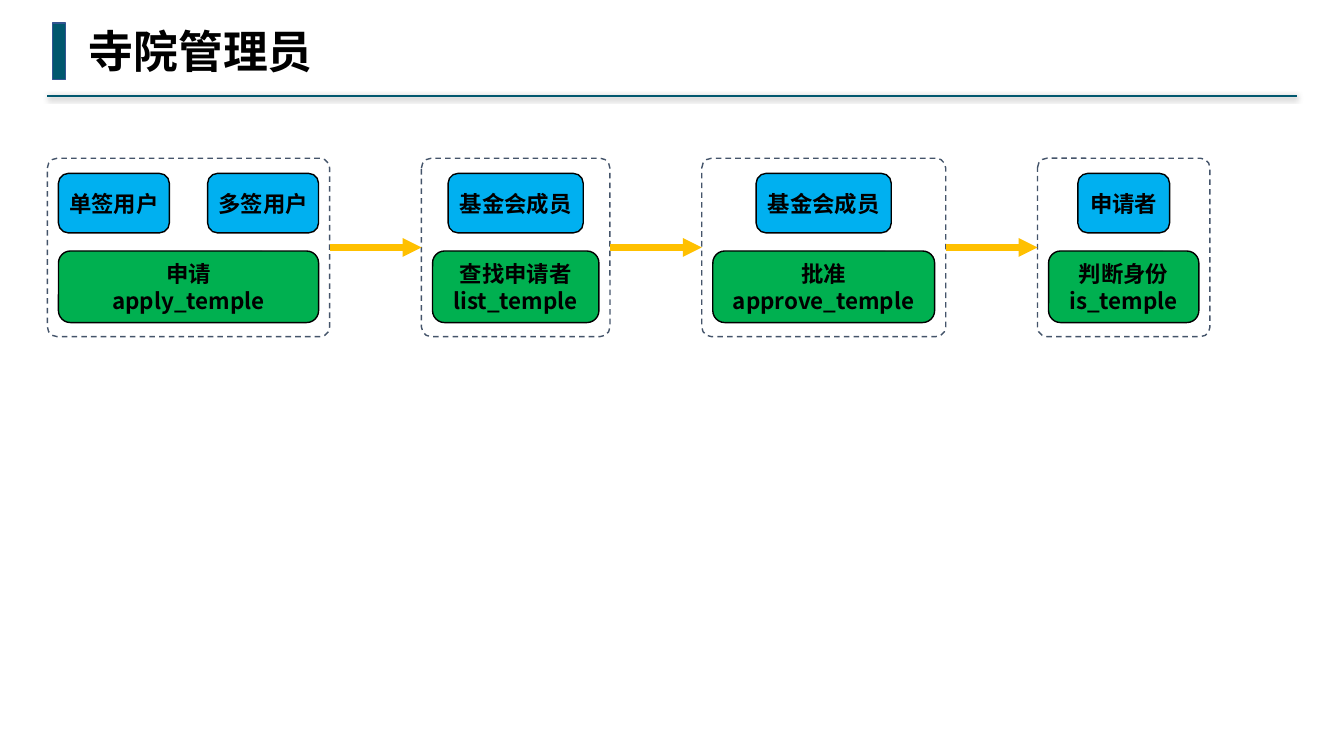
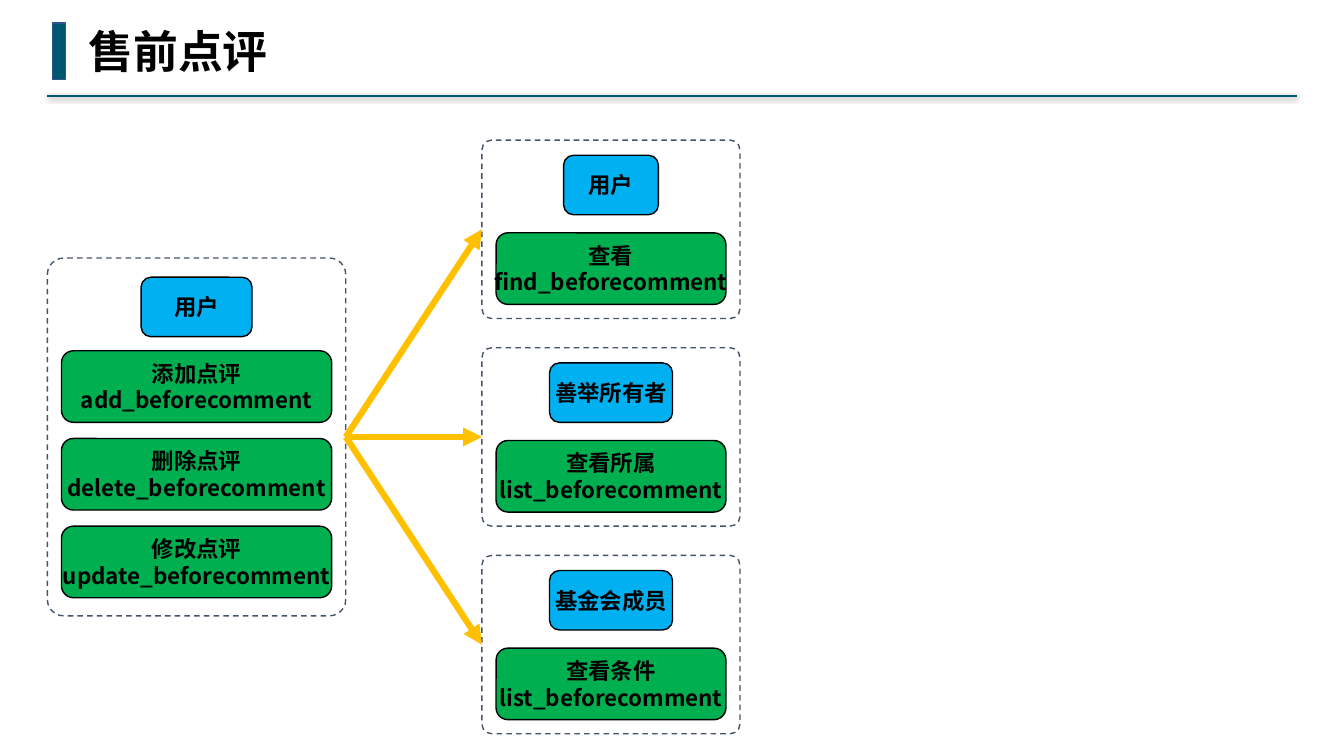
from dataclasses import dataclass
from itertools import pairwise

from lxml import etree
from pptx import Presentation
from pptx import util as u
from pptx.dml.color import RGBColor
from pptx.enum import dml, shapes, text
from pptx.oxml import ns

PX = 9144  # 100 px to the inch
SLIDE_W, SLIDE_H = 1333, 750

TEAL, BAR_EDGE = "00576E", "325491"
BLUE, GREEN, AMBER = "00B0F0", "00B050", "FFC000"
SLATE, BLACK = "44546A", "000000"
CJK_FONT, TITLE_FONT = "Noto Sans CJK SC", "DejaVu Sans Mono"

PANEL_H = 177
ROLE_H = 59
ACTION_H, ACTION_STEP = 71, 87
ACTION_TOP = 92


@dataclass(frozen=True)
class Panel:
    """A dashed frame with a row of roles above a column of actions."""
    left: int
    top: int
    width: int
    role_width: int
    roles: tuple[str, ...]
    actions: tuple[tuple[str, str], ...]
    height: int = PANEL_H
    margin: int = 11
    role_top: int = 15


def px(n: float) -> int:
    return u.Emu(round(n * PX))


def rgb(value: str) -> RGBColor:
    return RGBColor.from_string(value)


def add_xml(parent, tag: str, **attrs):
    return etree.SubElement(parent, ns.qn(tag), attrs)


def write(sp, *lines: str, size: int = 16, font: str = CJK_FONT,
          align=text.PP_ALIGN.CENTER, anchor=text.MSO_ANCHOR.MIDDLE,
          inset: int | None = 4) -> None:
    """Put one bold paragraph per line into a shape, without wrapping."""
    tf = sp.text_frame
    tf.word_wrap = False
    tf.vertical_anchor = anchor
    if inset is not None:
        tf.margin_left = tf.margin_right = px(inset)
        tf.margin_top = tf.margin_bottom = px(inset)
    for i, line in enumerate(lines):
        p = tf.add_paragraph() if i else tf.paragraphs[0]
        p.alignment = align
        r = p.add_run()
        r.text = line
        r.font.size, r.font.bold, r.font.name = u.Pt(size), True, font
        r.font.color.rgb = rgb(BLACK)
        add_xml(r.font._element, "a:ea", typeface=CJK_FONT)


def add_box(parent, left: float, top: float, width: float, height: float, *,
            fill: str | None = None, line: str = BLACK,
            kind=shapes.MSO_SHAPE.ROUNDED_RECTANGLE):
    sp = parent.shapes.add_shape(kind, px(left), px(top), px(width), px(height))
    sp.shadow.inherit = False
    if fill:
        sp.fill.solid()
        sp.fill.fore_color.rgb = rgb(fill)
    else:
        sp.fill.background()
    sp.line.color.rgb = rgb(line)
    sp.line.width = u.Pt(1)
    return sp


def add_line(s, x1: int, y1: int, x2: int, y2: int, color: str, weight: float):
    """Add a straight connector; return it with its empty effect list."""
    line = s.shapes.add_connector(shapes.MSO_CONNECTOR.STRAIGHT,
                                  px(x1), px(y1), px(x2), px(y2))
    line.line.color.rgb = rgb(color)
    line.line.width = u.Pt(weight)
    return line, add_xml(line._element.spPr, "a:effectLst")


def add_arrow(s, source, target) -> None:
    """Join the right side of one frame to the left side of another."""
    arrow, _ = add_line(s, 0, 0, 0, 0, AMBER, 4.5)
    arrow.begin_connect(source, 3)
    arrow.end_connect(target, 1)
    add_xml(arrow.line._get_or_add_ln(), "a:tailEnd", type="triangle")


def add_header(s, title: str, width: int) -> None:
    _, effects = add_line(s, 1286, 95, 47, 95, TEAL, 1.5)
    shadow = add_xml(effects, "a:outerShdw", blurRad=str(u.Pt(4)),
                     dist=str(u.Pt(1)), dir="5400000", rotWithShape="0")
    color = add_xml(shadow, "a:srgbClr", val=BLACK)
    add_xml(color, "a:alpha", val="40000")
    add_box(s, 52, 23, 13, 56, fill=TEAL, line=BAR_EDGE,
            kind=shapes.MSO_SHAPE.RECTANGLE)
    sp = s.shapes.add_textbox(px(78), px(19), px(width), px(64))
    write(sp, title, size=32, font=TITLE_FONT, align=text.PP_ALIGN.LEFT,
          anchor=text.MSO_ANCHOR.TOP, inset=None)
    sp.text_frame.auto_size = text.MSO_AUTO_SIZE.SHAPE_TO_FIT_TEXT


def add_panel(s, panel: Panel):
    """Draw a panel as a group and return its frame."""
    group = s.shapes.add_group_shape()
    frame = add_box(group, panel.left, panel.top, panel.width, panel.height,
                    line=SLATE)
    frame.adjustments[0] = 0.055
    frame.line.dash_style = dml.MSO_LINE.DASH

    inner_left = panel.left + panel.margin
    inner_width = panel.width - 2 * panel.margin
    spare = inner_width - panel.role_width
    gaps = len(panel.roles) - 1
    for i, role in enumerate(panel.roles):
        offset = spare * i / gaps if gaps else spare / 2
        sp = add_box(group, inner_left + offset, panel.top + panel.role_top,
                     panel.role_width, ROLE_H, fill=BLUE)
        write(sp, role)
    for i, action in enumerate(panel.actions):
        sp = add_box(group, inner_left, panel.top + ACTION_TOP + i * ACTION_STEP,
                     inner_width, ACTION_H, fill=GREEN)
        write(sp, *action)
    return frame


def add_slide(prs, title: str, title_width: int):
    s = prs.slides.add_slide(prs.slide_layouts[6])
    add_header(s, title, title_width)
    return s


def build_temple_admin(prs) -> None:
    s = add_slide(prs, "寺院管理员", 245)
    steps = (
        (280, 110, ("单签用户", "多签用户"), ("申请", "apply_temple")),
        (187, 134, ("基金会成员",), ("查找申请者", "list_temple")),
        (242, 134, ("基金会成员",), ("批准", "approve_temple")),
        (171, 91, ("申请者",), ("判断身份", "is_temple")),
    )
    left, gap = 47, 91
    frames = []
    for width, role_width, roles, action in steps:
        frames.append(add_panel(s, Panel(left, 157, width, role_width, roles, (action,))))
        left += width + gap
    for source, target in pairwise(frames):
        add_arrow(s, source, target)


def build_presale_comments(prs) -> None:
    s = add_slide(prs, "售前点评", 200)
    author = add_panel(s, Panel(
        47, 256, 296, 110, ("用户",),
        (("添加点评", "add_beforecomment"),
         ("删除点评", "delete_beforecomment"),
         ("修改点评", "update_beforecomment")),
        height=355, margin=14, role_top=19))
    readers = (
        ("用户", 94, ("查看", "find_beforecomment")),
        ("善举所有者", 122, ("查看所属", "list_beforecomment")),
        ("基金会成员", 122, ("查看条件", "list_beforecomment")),
    )
    for i, (role, role_width, action) in enumerate(readers):
        reader = add_panel(s, Panel(478, 139 + 206 * i, 256, role_width,
                                    (role,), (action,), margin=14))
        add_arrow(s, author, reader)


def main() -> None:
    prs = Presentation()
    prs.slide_width, prs.slide_height = px(SLIDE_W), px(SLIDE_H)
    build_temple_admin(prs)
    build_presale_comments(prs)
    prs.save("out.pptx")


if __name__ == "__main__":
    main()
